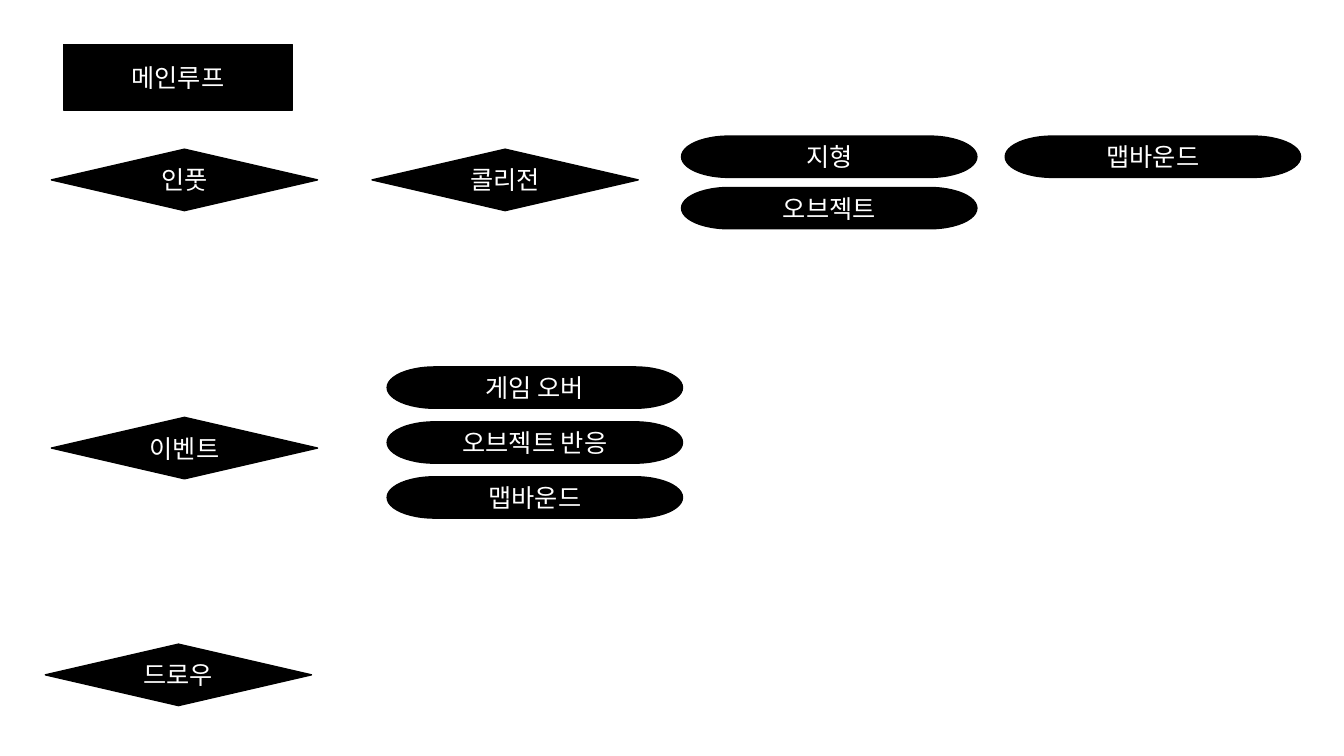
from lxml.etree import SubElement
from pptx import Presentation
from pptx.dml.color import RGBColor
from pptx.enum.shapes import MSO_SHAPE as Shape
from pptx.enum.text import MSO_ANCHOR as Anchor, PP_ALIGN as Align
from pptx.oxml.ns import qn
from pptx.util import Inches, Pt

BLACK = RGBColor(0x00, 0x00, 0x00)
WHITE = RGBColor(0xFF, 0xFF, 0xFF)
FONT = "Noto Sans CJK KR"

deck = Presentation()
deck.slide_width, deck.slide_height = Inches(13.33), Inches(7.5)
page = deck.slides.add_slide(deck.slide_layouts[6])


def add_node(kind, left, top, width, height, label):
    box = page.shapes.add_shape(
        kind, Inches(left), Inches(top), Inches(width), Inches(height))
    box.shadow.inherit = False
    box.fill.solid()
    box.fill.fore_color.rgb = BLACK
    box.line.color.rgb = BLACK
    box.line.width = Pt(1)
    box.text_frame.vertical_anchor = Anchor.MIDDLE
    para = box.text_frame.paragraphs[0]
    para.alignment = Align.CENTER
    span = para.add_run()
    span.text = label
    for name, value in {"size": Pt(18), "name": FONT}.items():
        setattr(span.font, name, value)
    span.font.color.rgb = WHITE
    # Hangul takes the East Asian font
    SubElement(span.font._element, qn("a:ea")).set("typeface", FONT)


# Main loop title
add_node(Shape.RECTANGLE, 0.63, 0.44, 2.27, 0.65, "메인루프")

# Stages of the loop
stages = [
    (0.51, 1.48, "인풋"),
    (3.69, 1.48, "콜리전"),
    (0.51, 4.14, "이벤트"),
    (0.45, 6.39, "드로우"),
]
for left, top, label in stages:
    add_node(Shape.FLOWCHART_DECISION, left, top, 2.64, 0.61, label)

# Stacks of details beside the stages: left, top, step, labels
stacks = [
    (6.76, 1.35, 0.51, ["지형", "오브젝트"]),
    (9.97, 1.35, 0.51, ["맵바운드"]),
    (3.84, 3.64, 0.545, ["게임 오버", "오브젝트 반응", "맵바운드"]),
]
for left, top, step, labels in stacks:
    for row, label in enumerate(labels):
        add_node(Shape.FLOWCHART_TERMINATOR,
                 left, top + row * step, 2.93, 0.41, label)

deck.save("out.pptx")
